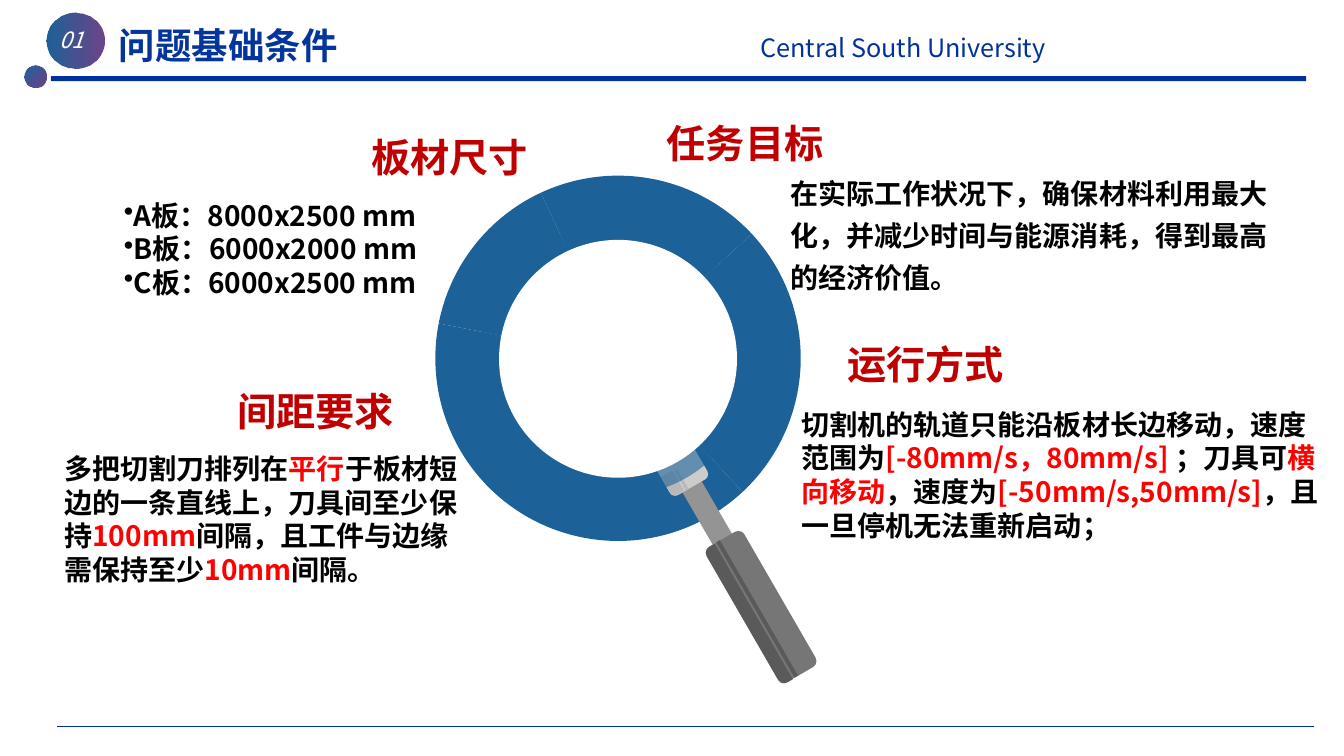
"""Build the slide on the basic conditions of the board-cutting problem."""
from dataclasses import dataclass

import pptx
import pptx.chart.data
import pptx.dml.color
import pptx.enum.chart
import pptx.enum.shapes
import pptx.enum.text
import pptx.oxml
import pptx.oxml.ns
import pptx.util

Inches = pptx.util.Inches
Pt = pptx.util.Pt
Kind = pptx.enum.shapes.MSO_SHAPE
Align = pptx.enum.text.PP_ALIGN
Anchor = pptx.enum.text.MSO_ANCHOR
qn = pptx.oxml.ns.qn

CJK = "Noto Sans CJK SC"
NAVY, BLUE, PURPLE = "00329D", "1C6299", "5C307D"
CRIMSON, RED, BLACK, WHITE = "C00000", "FF0000", "000000", "FFFFFF"
TILT = -30
LENS_CENTER = (6.13, 3.56)


@dataclass
class Part:
    """A filled preset shape placed by its centre."""
    kind: int
    center: tuple[float, float]
    size: tuple[float, float]
    color: str
    rotation: float = 0
    corner: float | None = None
    opacity: int = 100


@dataclass
class Topic:
    """A red heading and the text below it."""
    heading: str
    heading_box: tuple[float, float, float, float]
    body: list[str]
    body_box: tuple[float, float, float, float]
    anchor: int = Anchor.TOP
    insets: tuple[float, float] = (0, 0)
    spacing: float = 1
    bullet: str = ""


HANDLE = [
    Part(Kind.RECTANGLE, (7.02, 5.1), (0.22, 0.84), "949494", TILT),
    Part(Kind.ROUNDED_RECTANGLE, (6.76, 4.66), (0.43, 0.4), "CCCCCC", TILT, 0.15),
    Part(Kind.ROUNDED_RECTANGLE, (7.55, 6.02), (0.43, 1.55), "767676", TILT, 0.16),
    Part(Kind.ROUND_2_SAME_RECTANGLE, (7.42, 6.1), (1.55, 0.13), "5A5A5A", TILT - 90, 0.5),
    Part(Kind.RECTANGLE, (7.51, 6.04), (0.04, 1.55), "5A5A5A", TILT),
    Part(Kind.ROUND_1_RECTANGLE, (6.67, 4.8), (0.13, 0.23), "B8B8B8", TILT + 180, 0.45),
    Part(Kind.RECTANGLE, (6.76, 4.76), (0.03, 0.23), "B8B8B8", TILT),
]
LENS = [
    Part(Kind.OVAL, LENS_CENTER, (2.72, 2.72), BLUE, opacity=58),
    Part(Kind.OVAL, LENS_CENTER, (2.36, 2.36), WHITE),
]
TOPICS = [
    Topic("板材尺寸", (3.5, 1.32, 1.92, 0.47),
          ["A板：8000x2500 mm", "B板：6000x2000 mm", "C板：6000x2500 mm"],
          (1.13, 1.91, 3.41, 1.11), Anchor.MIDDLE, (0.1, 0.05), bullet="•"),
    Topic("运行方式", (7.58, 3.38, 3.2, 0.47),
          ["切割机的轨道只能沿板材长边移动，速度范围为*[-80mm/s，80mm/s] *；刀具可*横向移动*"
           "，速度为*[-50mm/s,50mm/s]*，且一旦停机无法重新启动；"],
          (7.95, 4.04, 5.16, 1.35)),
    Topic("任务目标", (6.48, 1.18, 1.82, 0.47),
          ["在实际工作状况下，确保材料利用最大化，并减少时间与能源消耗，得到最高的经济价值。"],
          (7.84, 1.67, 4.76, 1.22), spacing=1.25),
    Topic("间距要求", (1.91, 3.84, 2.44, 0.47),
          ["多把切割刀排列在*平行*于板材短边的一条直线上，刀具间至少保持*100mm*"
           "间隔，且工件与边缘需保持至少*10mm*间隔。"],
          (0.54, 4.42, 4.19, 1.45), Anchor.MIDDLE, (0.1, 0.05)),
]


def rgb(color: str) -> pptx.dml.color.RGBColor:
    """Turn a hex string into a colour."""
    return pptx.dml.color.RGBColor.from_string(color)


def set_opacity(element, percent: int) -> None:
    """Add an alpha value to a colour element."""
    pptx.oxml.ns.qn("a:alpha")
    alpha = element.makeelement(qn("a:alpha"), {"val": str(percent * 1000)})
    element.append(alpha)


def add_text(slide, paragraphs: list[str], box: tuple[float, float, float, float], *,
             size: float = 20, color: str = BLACK, font: str = CJK, bold: bool = False,
             italic: bool = False, align: int = Align.LEFT, anchor: int = Anchor.TOP,
             insets: tuple[float, float] = (0, 0), spacing: float = 1,
             bullet: str = "") -> None:
    """Add a text box; text between asterisks is shown in red."""
    frame = slide.shapes.add_textbox(*map(Inches, box)).text_frame
    frame.word_wrap = True
    frame.vertical_anchor = anchor
    frame.margin_left = frame.margin_right = Inches(insets[0])
    frame.margin_top = frame.margin_bottom = Inches(insets[1])
    for index, text in enumerate(paragraphs):
        paragraph = frame.paragraphs[0] if index == 0 else frame.add_paragraph()
        paragraph.alignment = align
        paragraph.line_spacing = spacing
        if bullet:
            properties = paragraph._p.get_or_add_pPr()
            properties.append(properties.makeelement(qn("a:buChar"), {"char": bullet}))
        for position, piece in enumerate(text.split("*")):
            run = paragraph.add_run()
            run.text = piece
            run.font.size, run.font.name = Pt(size), font
            run.font.bold, run.font.italic = bold, italic
            run.font.color.rgb = rgb(RED if position % 2 else color)
            east_asian = CJK if font == "Arial" else font
            run_properties = run.font._element
            run_properties.append(
                run_properties.makeelement(qn("a:ea"), {"typeface": east_asian}))


def add_part(slide, part: Part):
    """Draw one filled shape without outline."""
    (x, y), (width, height) = part.center, part.size
    shape = slide.shapes.add_shape(part.kind, Inches(x - width / 2), Inches(y - height / 2),
                                   Inches(width), Inches(height))
    shape.shadow.inherit = False
    shape.rotation = part.rotation
    shape.line.fill.background()
    shape.fill.solid()
    shape.fill.fore_color.rgb = rgb(part.color)
    if part.corner is not None:
        shape.adjustments[0] = part.corner
    if part.opacity < 100:
        set_opacity(shape._element.spPr.find(".//" + qn("a:srgbClr")), part.opacity)
    return shape


def add_badge(slide, center: tuple[float, float], size: tuple[float, float],
              angle: float) -> None:
    """Draw a circle with a blue to purple gradient."""
    badge = add_part(slide, Part(Kind.OVAL, center, size, BLUE))
    badge.fill.gradient()
    badge.fill.gradient_angle = angle
    for stop, color in zip(badge.fill.gradient_stops, (BLUE, PURPLE)):
        stop.color.rgb = rgb(color)
    set_opacity(badge._element.spPr.findall(".//" + qn("a:srgbClr"))[-1], 90)


def add_header(slide) -> None:
    """Draw the title, the number badge and the two rules."""
    add_part(slide, Part(Kind.ROUNDED_RECTANGLE, (6.73, 0.78), (12.45, 0.05), NAVY))
    add_text(slide, ["Central South University"], (7.51, 0.29, 4.5, 0.36), size=18,
             color=NAVY, font="Noto Sans CJK JP", insets=(0.03, 0.03))
    footer = slide.shapes.add_connector(pptx.enum.shapes.MSO_CONNECTOR.STRAIGHT,
                                        Inches(0.57), Inches(7.21), Inches(13.03), Inches(7.21))
    footer.line.color.rgb = rgb(NAVY)
    footer.line.width = Pt(0.75)
    properties = footer._element.spPr
    properties.append(properties.makeelement(qn("a:effectLst"), {}))
    add_badge(slide, (0.75, 0.4), (0.57, 0.56), 0)
    add_text(slide, ["01"], (0.3, 0.21, 0.82, 0.4), size=16, color=WHITE, italic=True,
             align=Align.CENTER, insets=(0.1, 0.05))
    add_badge(slide, (0.35, 0.76), (0.22, 0.21), 310)
    add_text(slide, ["问题基础条件"], (1.18, 0.1, 2.46, 0.61), size=26, color="03359C",
             font="Arial", bold=True, anchor=Anchor.BOTTOM, insets=(0, 0.05))


def add_ring(slide) -> None:
    """Add the doughnut chart that forms the rim of the magnifier."""
    data = pptx.chart.data.CategoryChartData()
    data.categories = ["1", "2", "3", "4"]
    data.add_series("Series 1", (25, 40, 15, 20))
    chart = slide.shapes.add_chart(pptx.enum.chart.XL_CHART_TYPE.DOUGHNUT, Inches(4.18),
                                   Inches(1.55), Inches(3.9), Inches(4.01), data).chart
    chart.has_title = chart.has_legend = False
    chart.font.size, chart.font.name = Pt(18), "Arial"
    chart.font.color.rgb = rgb(BLACK)
    plot = chart.plots[0]
    plot.vary_by_categories = True
    for index in range(4):
        point = plot.series[0].points[index].format
        point.fill.solid()
        point.fill.fore_color.rgb = rgb(BLUE)
        point.line.fill.background()
    plot._element.find(qn("c:firstSliceAng")).set("val", "47")
    plot._element.find(qn("c:holeSize")).set("val", "90")


def main() -> None:
    """Assemble and save the slide."""
    deck = pptx.Presentation()
    deck.slide_width, deck.slide_height = Inches(13.33), Inches(7.5)
    slide = deck.slides.add_slide(deck.slide_layouts[6])
    add_header(slide)
    add_ring(slide)
    for part in HANDLE + LENS:
        add_part(slide, part)
    for topic in TOPICS:
        add_text(slide, [topic.heading], topic.heading_box, size=28, color=CRIMSON,
                 bold=True, align=Align.CENTER)
        add_text(slide, topic.body, topic.body_box, bold=True, anchor=topic.anchor,
                 insets=topic.insets, spacing=topic.spacing, bullet=topic.bullet)
    deck.save("out.pptx")


if __name__ == "__main__":
    main()
